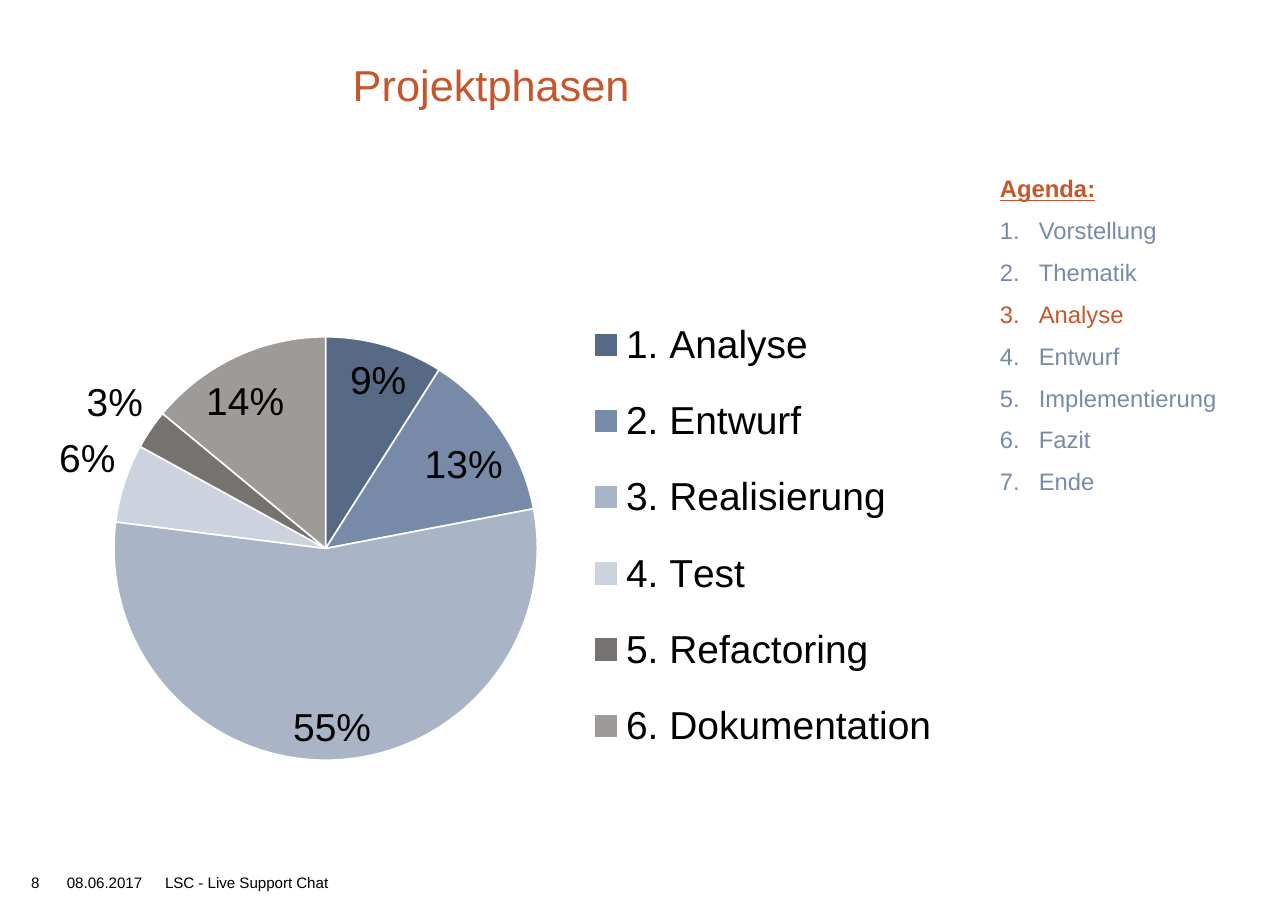
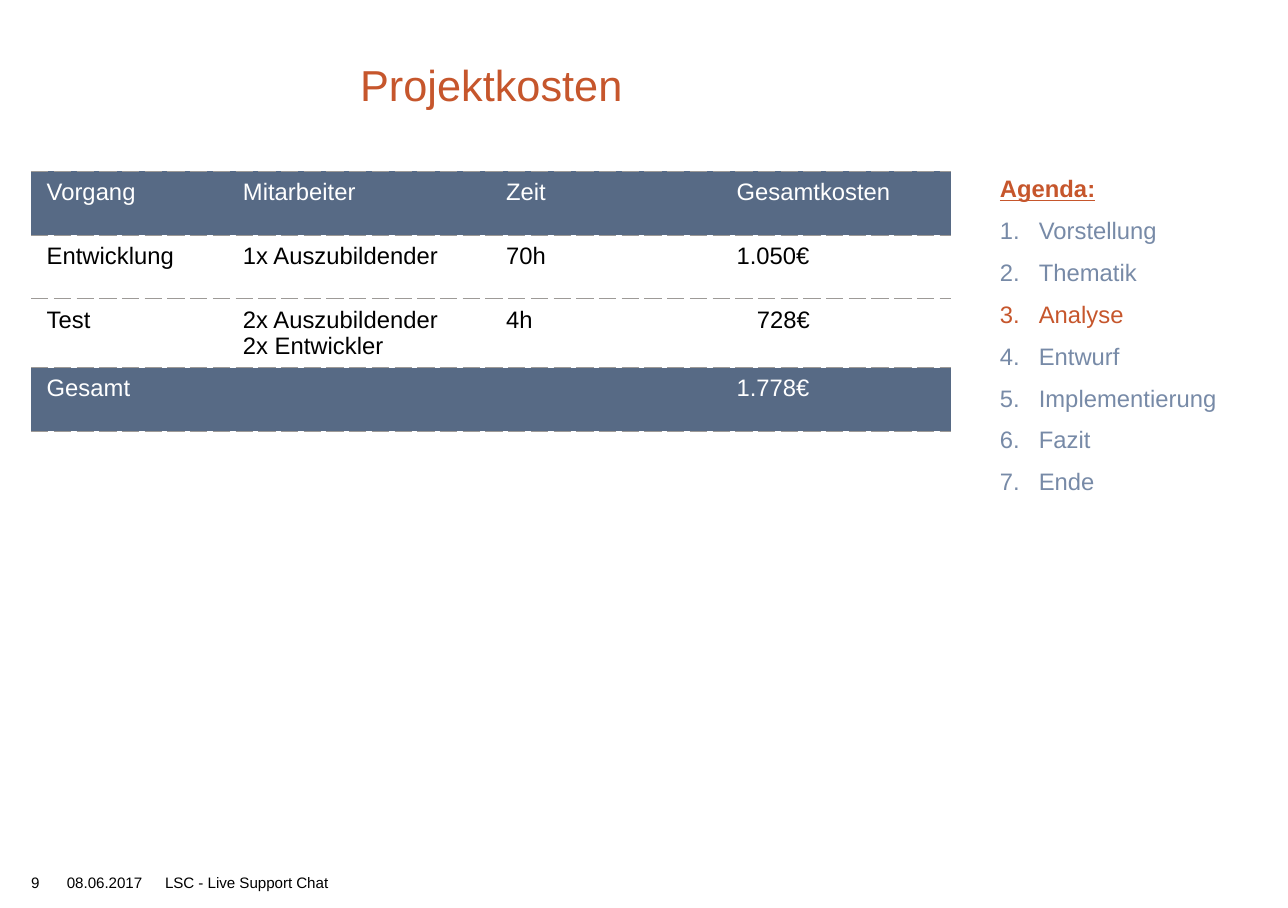
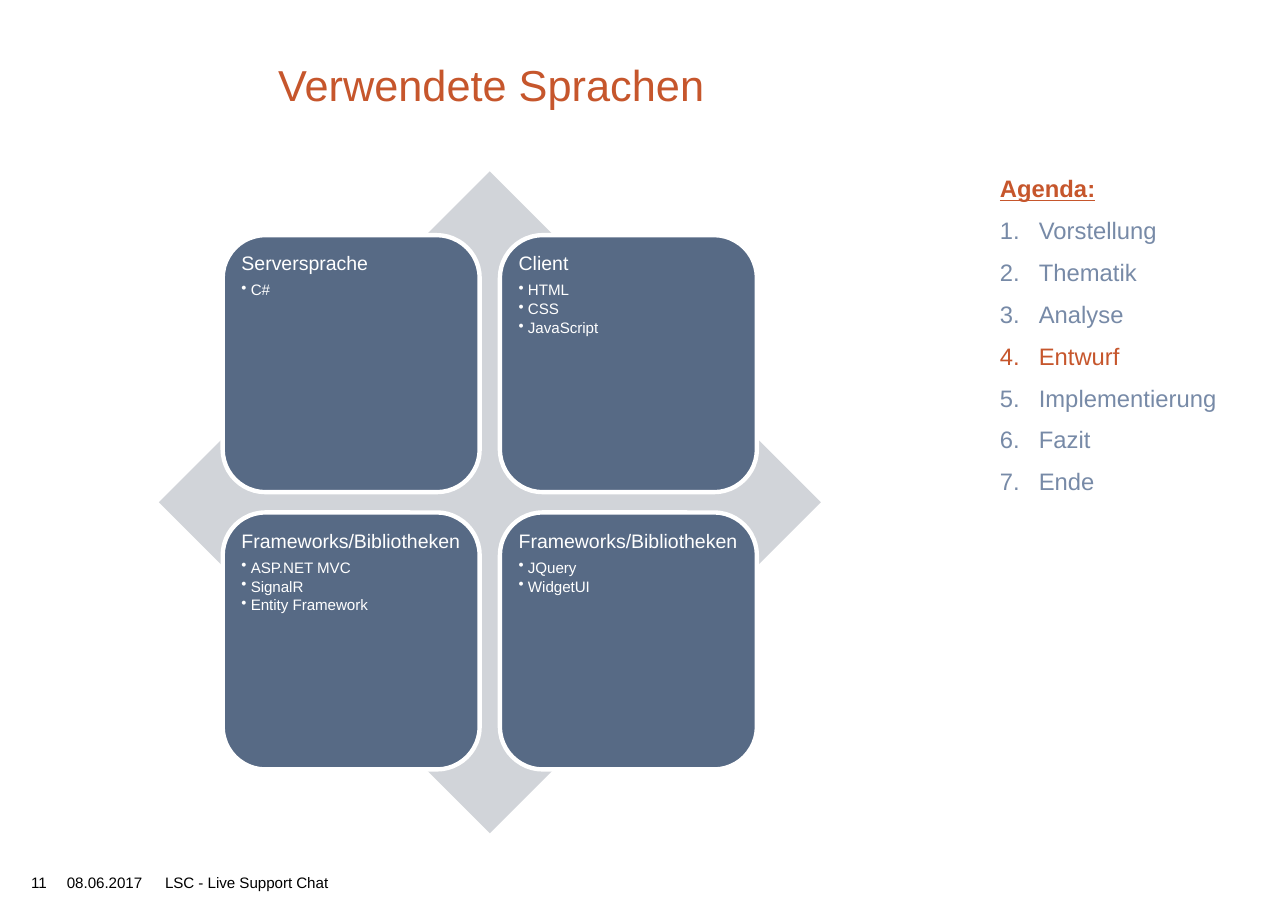
from dataclasses import dataclass
from itertools import product

from lxml.etree import SubElement
from pptx import Presentation
from pptx.chart.data import CategoryChartData
from pptx.dml.color import RGBColor
from pptx.enum.chart import XL_CHART_TYPE, XL_LABEL_POSITION, XL_LEGEND_POSITION
from pptx.enum.shapes import MSO_SHAPE
from pptx.enum.text import MSO_ANCHOR, MSO_AUTO_SIZE, PP_ALIGN
from pptx.oxml.ns import qn
from pptx.util import Inches, Pt


@dataclass(frozen=True)
class Theme:
    font: str = "Arial"
    accent: str = "C6562C"
    navy: str = "576A85"
    blue: str = "778AA7"
    gray: str = "9D9A97"
    pale: str = "D1D4D9"
    white: str = "FFFFFF"
    black: str = "000000"
    slices: tuple = ("576A85", "778AA7", "A9B5C7", "CCD3DE", "75726F", "9D9A97")
    title: int = 20
    chart: int = 18
    text: int = 11
    head: int = 9
    small: int = 7


THEME = Theme()
AGENDA = ("Vorstellung", "Thematik", "Analyse", "Entwurf",
          "Implementierung", "Fazit", "Ende")
LEFT, TOP, WIDTH, HEIGHT = 0.2, 1.1, 5.91, 4.25  # content area


def rgb(code):
    return RGBColor.from_string(code)


def box(left, top, width, height):
    return [Inches(n) for n in (left, top, width, height)]


def write(frame, text, size=THEME.text, color=THEME.black, bold=False,
          under=False, align=PP_ALIGN.LEFT, line=None, before=0, after=0,
          indent=0, hang=0, bullet=None):
    """Add one paragraph; bullet is a character or "1." for numbering."""
    par = frame.paragraphs[0]
    if par.runs:
        par = frame.add_paragraph()
    par.alignment, par.line_spacing = align, line
    par.space_before, par.space_after = Pt(before), Pt(after)
    props = par._p.get_or_add_pPr()
    props.set("marL", str(Inches(indent)))
    props.set("indent", str(-Inches(hang)))
    if bullet == "1.":
        SubElement(props, qn("a:buAutoNum"), type="arabicPeriod")
    elif bullet:
        SubElement(props, qn("a:buChar"), char=bullet)
    run = par.add_run()
    run.text = text
    font = run.font
    font.name, font.size, font.color.rgb = THEME.font, Pt(size), rgb(color)
    font.bold, font.underline = bold, under


def inset(frame, gap):
    frame.margin_left = frame.margin_right = Inches(gap)
    frame.margin_top = frame.margin_bottom = Inches(gap)
    frame.word_wrap = True
    frame.auto_size = MSO_AUTO_SIZE.NONE


def place(owner, index, inner=False, **parts):
    """Give a chart part a manual layout in fractions of the chart."""
    for old in owner.findall(qn("c:layout")):
        owner.remove(old)
    layout = SubElement(owner, qn("c:layout"))
    owner.insert(index, layout)
    manual = SubElement(layout, qn("c:manualLayout"))
    if inner:
        SubElement(manual, qn("c:layoutTarget"), val="inner")
    for name in "xy":
        SubElement(manual, qn(f"c:{name}Mode"), val="edge")
    for name, val in parts.items():
        SubElement(manual, qn(f"c:{name}"), val=str(val))


def border(cell):
    """Dashed rules above and below, none at the sides."""
    props = cell._tc.get_or_add_tcPr()
    for side in "LRTB":
        line = SubElement(props, qn(f"a:ln{side}"), w=str(Pt(0.5)))
        if side in "LR":
            SubElement(line, qn("a:noFill"))
            continue
        solid = SubElement(line, qn("a:solidFill"))
        SubElement(solid, qn("a:srgbClr"), val=THEME.gray)
        SubElement(line, qn("a:prstDash"), val="dash")


class Deck:
    def __init__(self):
        self.show = Presentation()
        self.show.slide_width, self.show.slide_height = Inches(8.27), Inches(5.83)
        self.slide = None

    def start(self, title, number, active):
        """New slide with title, agenda and footer."""
        self.slide = self.show.slides.add_slide(self.show.slide_layouts[5])
        head = self.slide.shapes.title
        head.left, head.top, head.width, head.height = box(LEFT, 0.16, WIDTH, 0.55)
        inset(head.text_frame, 0)
        head.text_frame.vertical_anchor = MSO_ANCHOR.BOTTOM
        write(head.text_frame, title, size=THEME.title, color=THEME.accent,
              align=PP_ALIGN.CENTER)
        self.agenda(active)
        for left, width, text in ((LEFT, 0.24, str(number)),
                                  (0.43, 0.63, "08.06.2017"),
                                  (1.06, 5.04, "LSC - Live Support Chat")):
            write(self.text(left, 5.61, width, 0.14), text, size=THEME.small)

    def text(self, *area):
        frame = self.slide.shapes.add_textbox(*box(*area)).text_frame
        inset(frame, 0)
        return frame

    def agenda(self, active):
        frame = self.text(6.42, TOP, 1.65, HEIGHT)
        space = dict(line=1.1, before=2.4, after=2.4)
        write(frame, "Agenda:", color=THEME.accent, bold=True, under=True, **space)
        for item in AGENDA:
            write(frame, item, color=THEME.accent if item == active else THEME.blue,
                  indent=0.25, hang=0.25, bullet="1.", **space)

    def shape(self, kind, area, fill, line=None):
        shape = self.slide.shapes.add_shape(kind, *box(*area))
        shape.shadow.inherit = False
        shape.fill.solid()
        shape.fill.fore_color.rgb = rgb(fill)
        if line:
            shape.line.color.rgb, shape.line.width = rgb(line), Pt(2)
        else:
            shape.line.fill.background()
        return shape

    def card(self, left, top, side, head, items):
        shape = self.shape(MSO_SHAPE.ROUNDED_RECTANGLE, (left, top, side, side),
                           THEME.navy, THEME.white)
        frame = shape.text_frame
        inset(frame, 0.04)
        frame.vertical_anchor = MSO_ANCHOR.TOP
        write(frame, head, size=THEME.head, color=THEME.white, line=0.9, after=3.6)
        for item in items:
            write(frame, item, size=THEME.small, color=THEME.white, line=0.9,
                  after=1.2, indent=0.06, hang=0.06, bullet="•")

    def pie(self, values):
        data = CategoryChartData()
        data.categories = list(values)
        data.add_series("Series 1", values.values())
        chart = self.slide.shapes.add_chart(
            XL_CHART_TYPE.PIE, *box(LEFT, TOP, WIDTH, HEIGHT), data).chart
        chart.has_title = False
        chart.font.name, chart.font.size = THEME.font, Pt(THEME.chart)
        chart.font.color.rgb = rgb(THEME.black)
        chart.has_legend = True
        chart.legend.position = XL_LEGEND_POSITION.RIGHT
        chart.legend.include_in_layout = False
        place(chart.legend._element, 1, x=0.59, y=0.18, w=0.41, h=0.74)
        place(chart._chartSpace.chart.plotArea, 0, inner=True,
              x=0.09, y=0.25, w=0.46, h=0.64)
        plot = chart.plots[0]
        plot.vary_by_categories = True
        for index, color in enumerate(THEME.slices):
            form = plot.series[0].points[index].format
            form.fill.solid()
            form.fill.fore_color.rgb = rgb(color)
            form.line.color.rgb, form.line.width = rgb(THEME.white), Pt(0.75)
        plot.has_data_labels = True
        labels = plot.data_labels
        labels.show_percentage, labels.show_value = True, False
        labels.number_format, labels.number_format_is_linked = "0%", False
        labels.position = XL_LABEL_POSITION.BEST_FIT

    def table(self, rows, widths, heights, bands, indents):
        """bands are the filled rows; indents maps (row, column) to inches."""
        table = self.slide.shapes.add_table(
            len(rows), len(widths),
            *box(LEFT, TOP, sum(widths), sum(heights))).table
        table.first_row = table.horz_banding = False
        for col, width in zip(table.columns, widths):
            col.width = Inches(width)
        for row, height in zip(table.rows, heights):
            row.height = Inches(height)
        for r, c in product(range(len(rows)), range(len(widths))):
            cell = table.cell(r, c)
            border(cell)
            if r in bands:
                cell.fill.solid()
                cell.fill.fore_color.rgb = rgb(THEME.navy)
            else:
                cell.fill.background()
            for text in rows[r][c].splitlines():
                write(cell.text_frame, text, indent=indents.get((r, c), 0),
                      color=THEME.white if r in bands else THEME.black)


def main():
    deck = Deck()

    # Project phases
    deck.start("Projektphasen", 8, "Analyse")
    deck.pie({"1. Analyse": 9, "2. Entwurf": 13, "3. Realisierung": 55,
              "4. Test": 6, "5. Refactoring": 3, "6. Dokumentation": 14})

    # Project costs
    deck.start("Projektkosten", 9, "Analyse")
    deck.table([("Vorgang", "Mitarbeiter", "Zeit", "Gesamtkosten"),
                ("Entwicklung", "1x Auszubildender", "70h", "1.050€"),
                ("Test", "2x Auszubildender\n2x Entwickler", "4h", "728€"),
                ("Gesamt", "", "", "1.778€")],
               widths=(1.26, 1.69, 1.48, 1.48), heights=(0.41, 0.41, 0.44, 0.41),
               bands=(0, 3), indents={(2, 3): 0.13})

    # Languages in use
    deck.start("Verwendete Sprachen", 11, "Entwurf")
    deck.shape(MSO_SHAPE.DIAMOND, (1.02, TOP, HEIGHT, HEIGHT), THEME.pale)
    cards = (("Serversprache", ("C#",)),
             ("Client", ("HTML", "CSS", "JavaScript")),
             ("Frameworks/Bibliotheken", ("ASP.NET MVC", "SignalR", "Entity Framework")),
             ("Frameworks/Bibliotheken", ("JQuery", "WidgetUI")))
    side, step = 1.65, 1.78
    for index, (head, items) in enumerate(cards):
        row, col = divmod(index, 2)
        deck.card(1.43 + col * step, 1.51 + row * step, side, head, items)

    deck.show.save("out.pptx")


if __name__ == "__main__":
    main()
